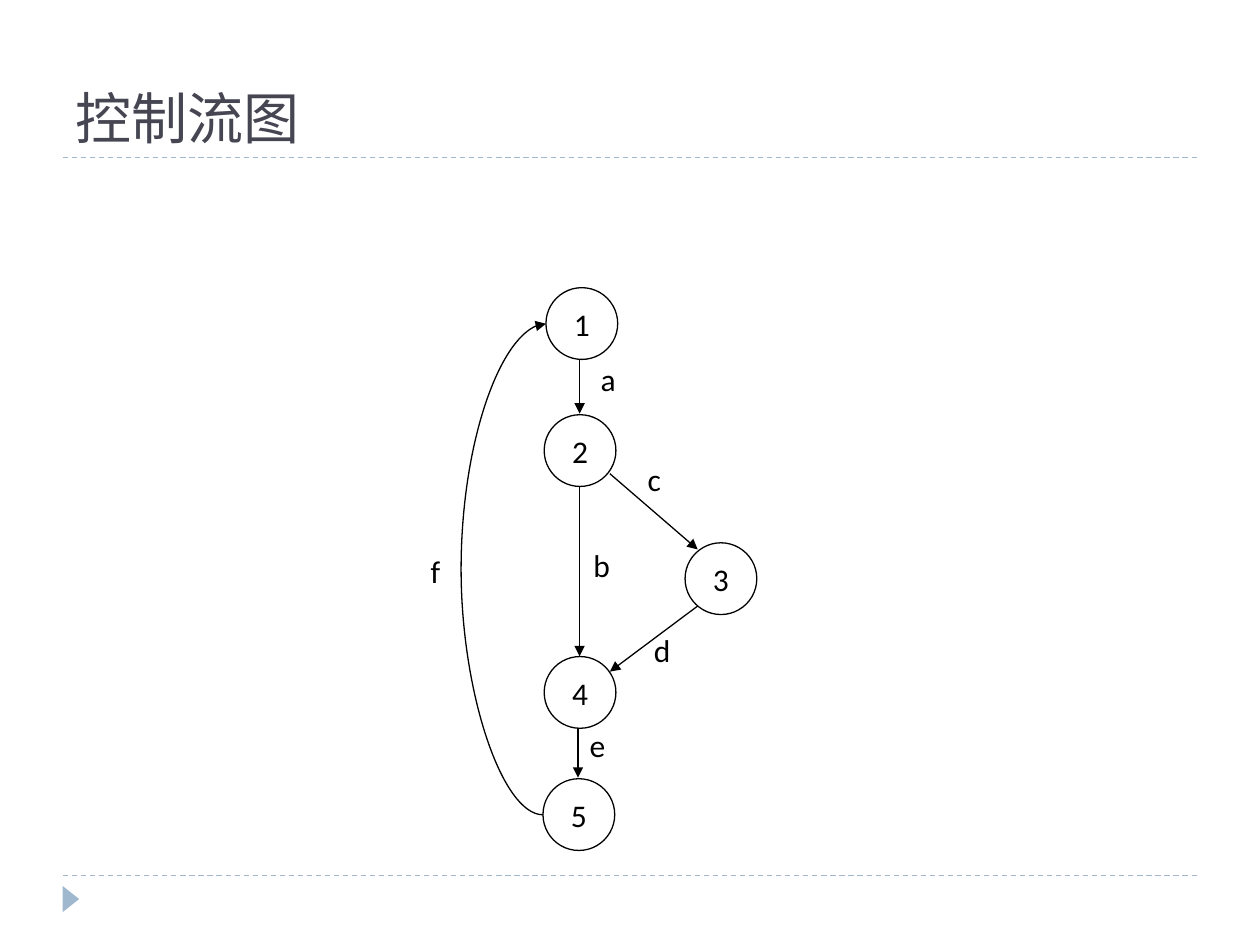
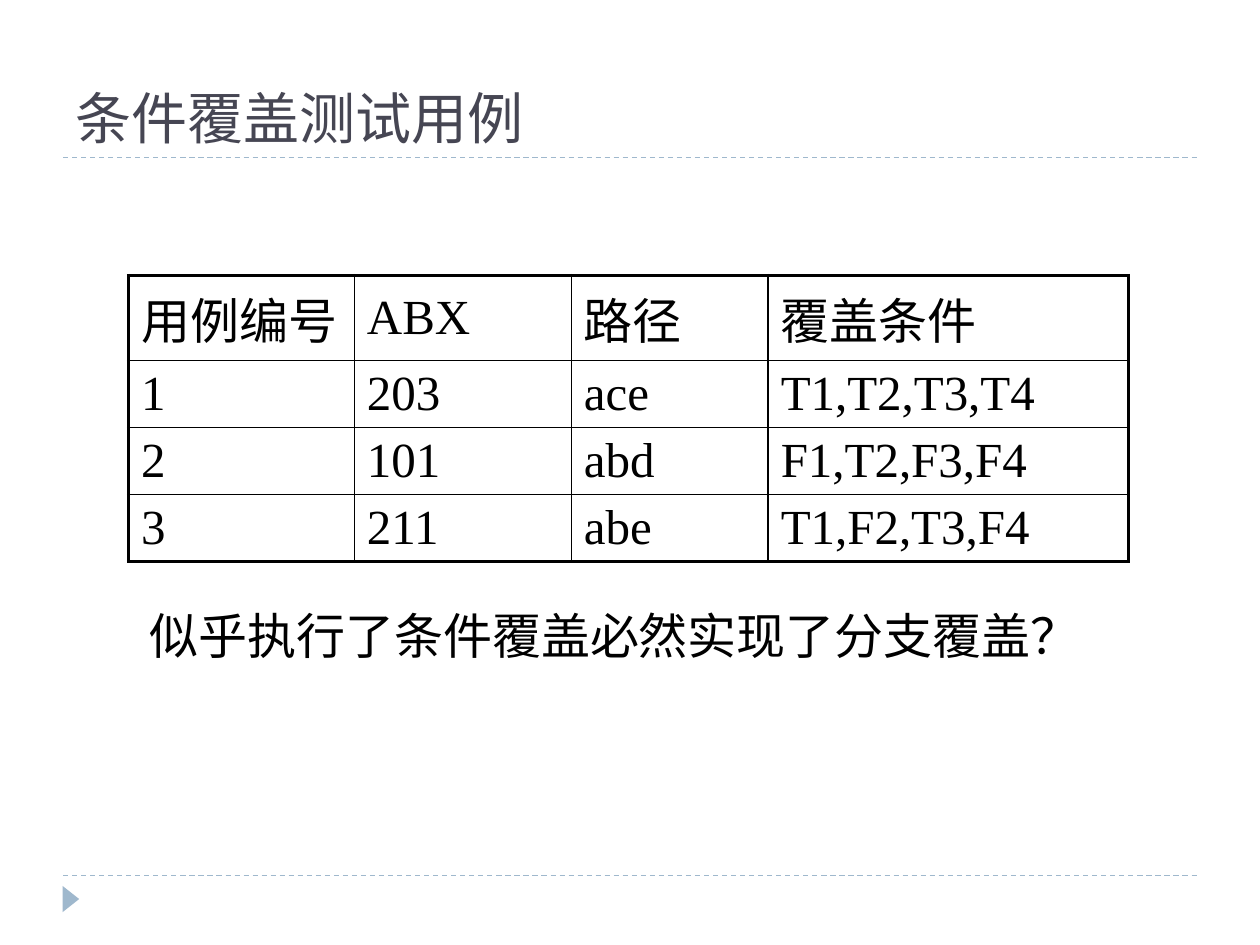
"""Build two slides on condition coverage: a control flow graph and its test cases."""

from typing import NamedTuple

from lxml.etree import SubElement
from pptx import Presentation
from pptx.dml.color import RGBColor
from pptx.enum.dml import MSO_LINE
from pptx.enum.shapes import MSO_CONNECTOR, MSO_SHAPE
from pptx.enum.text import MSO_ANCHOR, MSO_AUTO_SIZE, PP_ALIGN
from pptx.oxml.ns import qn
from pptx.util import Pt

COLORS = {"ink": "000000", "title": "464653", "accent": "9FB8CD"}
BODY_FONT = "Calibri"
TABLE_FONT = "Times New Roman"
CHINESE_FONT = "Noto Sans CJK SC"
NODE_SIZE = 41
LABEL_SIZE = (27.4, 36)
THIN, THICK = 1, 2.25
TABLE_LEFT, TABLE_TOP = 73.5, 157.5
COLUMN_WIDTHS = (129, 124, 112.5, 206)
HEADER_HEIGHT, ROW_HEIGHT = 48.5, 38.3


class Node(NamedTuple):
    """A numbered circle of the flow graph."""
    name: str
    left: float
    top: float


class Edge(NamedTuple):
    """A straight arrow between two nodes."""
    start: tuple[float, float]
    end: tuple[float, float]


class Label(NamedTuple):
    """The letter beside an edge."""
    text: str
    left: float
    top: float


NODES = (
    Node("1", 312, 164.4),
    Node("2", 311, 237),
    Node("4", 311, 375.2),
    Node("3", 391.5, 310.2),
    Node("5", 310.3, 445),
)
EDGES = (
    Edge((331.2, 205.8), (331.2, 236.4)),
    Edge((331.2, 278), (331.2, 375)),
    Edge((348.5, 270.7), (398.7, 314)),
    Edge((398.7, 346.3), (348.5, 383.8)),
    Edge((330.3, 416.2), (330.3, 444.4)),
)
RETURN_EDGE = Edge((310.3, 465.6), (312, 185))
RETURN_BEND = 263.5
LABELS = (
    Label("a", 336.2, 202.3),
    Label("b", 332, 308.2),
    Label("c", 363, 259.2),
    Label("d", 366.5, 357.1),
    Label("e", 329.8, 411.1),
    Label("f", 239, 311.8),
)
TEST_CASES = (
    ("用例编号", "ABX", "路径", "覆盖条件"),
    ("1", "203", "ace", "T1,T2,T3,T4"),
    ("2", "101", "abd", "F1,T2,F3,F4"),
    ("3", "211", "abe", "T1,F2,T3,F4"),
)


def color(name: str) -> RGBColor:
    """Return a named colour of the deck."""
    return RGBColor.from_string(COLORS[name])


def write_text(text_frame, text: str, *, size: float, font: str = BODY_FONT,
               ink: str = "ink", align=PP_ALIGN.LEFT) -> None:
    """Fill a text frame with one formatted paragraph."""
    paragraph = text_frame.paragraphs[0]
    paragraph.alignment = align
    paragraph.space_before = Pt(0)
    run = paragraph.add_run()
    run.text = text
    run.font.size = Pt(size)
    run.font.bold = False
    run.font.color.rgb = color(ink)
    run.font.name = font
    SubElement(run._r.get_or_add_rPr(), qn("a:ea"), typeface=CHINESE_FONT)


def add_line(slide, edge: Edge, *, ink: str = "ink", dashed: bool = False,
             arrow: bool = False, kind=MSO_CONNECTOR.STRAIGHT):
    """Draw a connector without shadow, dashed or with an arrowhead."""
    points = (Pt(value) for value in edge.start + edge.end)
    connector = slide.shapes.add_connector(kind, *points)
    connector.line.color.rgb = color(ink)
    connector.line.width = Pt(0.75)
    if dashed:
        connector.line.dash_style = MSO_LINE.DASH
    if arrow:
        SubElement(connector.line._get_or_add_ln(), qn("a:tailEnd"), type="triangle")
    SubElement(connector._element.spPr, qn("a:effectLst"))
    return connector


def add_return_edge(slide) -> None:
    """Draw the curved arrow that bends left from the last node to the first."""
    connector = add_line(slide, RETURN_EDGE, arrow=True, kind=MSO_CONNECTOR.CURVE)
    properties = connector._element.spPr
    frame = properties.find(qn("a:xfrm"))
    frame.attrib.pop("flipV", None)
    frame.set("rot", "10800000")
    frame.set("flipH", "1")
    start, end = RETURN_EDGE.start[0], RETURN_EDGE.end[0]
    bend = round((RETURN_BEND - start) / (end - start) * 100000)
    geometry = properties.find(qn("a:prstGeom"))
    SubElement(geometry.find(qn("a:avLst")), qn("a:gd"), name="adj1", fmla=f"val {bend}")


def add_text_box(slide, text: str, left: float, top: float, width: float,
                 height: float, *, size: float) -> None:
    """Add a wrapping text box that grows with its text."""
    box = slide.shapes.add_textbox(Pt(left), Pt(top), Pt(width), Pt(height))
    box.text_frame.word_wrap = True
    box.text_frame.auto_size = MSO_AUTO_SIZE.SHAPE_TO_FIT_TEXT
    write_text(box.text_frame, text, size=size, align=PP_ALIGN.JUSTIFY)


def add_slide(presentation, title: str, title_font: str):
    """Add a slide with the shared rules, corner marker and title."""
    slide = presentation.slides.add_slide(presentation.slide_layouts[5])
    for height in (500.4, 90):
        add_line(slide, Edge((36, height), (684, height)), ink="accent", dashed=True)
    marker = slide.shapes.add_shape(
        MSO_SHAPE.ISOSCELES_TRIANGLE, Pt(33), Pt(509), Pt(15), Pt(9.5))
    marker.rotation = 90
    marker.shadow.inherit = False
    marker.fill.solid()
    marker.fill.fore_color.rgb = color("accent")
    marker.line.fill.background()
    heading = slide.shapes.title
    heading.left, heading.top, heading.width, heading.height = Pt(36), Pt(12), Pt(648), Pt(78)
    heading.text_frame.vertical_anchor = MSO_ANCHOR.BOTTOM
    heading.text_frame.auto_size = MSO_AUTO_SIZE.NONE
    write_text(heading.text_frame, title, size=32, font=title_font, ink="title")
    return slide


def add_node(slide, node: Node) -> None:
    """Draw a numbered circle."""
    circle = slide.shapes.add_shape(
        MSO_SHAPE.OVAL, Pt(node.left), Pt(node.top), Pt(NODE_SIZE), Pt(NODE_SIZE))
    circle.shadow.inherit = False
    circle.fill.background()
    circle.line.color.rgb = color("ink")
    circle.line.width = Pt(0.75)
    circle.text_frame.word_wrap = False
    circle.text_frame.vertical_anchor = MSO_ANCHOR.MIDDLE
    write_text(circle.text_frame, node.name, size=18, align=PP_ALIGN.CENTER)


def set_borders(cell, widths: dict[str, float]) -> None:
    """Draw the borders of a cell in the given widths."""
    properties = cell._tc.get_or_add_tcPr()
    for side, width in widths.items():
        border = SubElement(properties, qn(f"a:ln{side}"), w=str(Pt(width)))
        fill = SubElement(border, qn("a:solidFill"))
        SubElement(fill, qn("a:srgbClr"), val=COLORS["ink"])


def add_case_table(slide) -> None:
    """Add the test case table with a thick outer frame."""
    last_row, last_column = len(TEST_CASES) - 1, len(COLUMN_WIDTHS) - 1
    table = slide.shapes.add_table(
        len(TEST_CASES), len(COLUMN_WIDTHS), Pt(TABLE_LEFT), Pt(TABLE_TOP),
        Pt(sum(COLUMN_WIDTHS)), Pt(HEADER_HEIGHT + last_row * ROW_HEIGHT)).table
    table.first_row = table.horz_banding = False
    for column, width in zip(table.columns, COLUMN_WIDTHS):
        column.width = Pt(width)
    for row_index, values in enumerate(TEST_CASES):
        table.rows[row_index].height = Pt(ROW_HEIGHT if row_index else HEADER_HEIGHT)
        for column_index, value in enumerate(values):
            cell = table.cell(row_index, column_index)
            outer = {"L": column_index == 0, "R": column_index == last_column,
                     "T": row_index == 0, "B": row_index == last_row}
            set_borders(cell, {side: THICK if edge else THIN for side, edge in outer.items()})
            cell.fill.background()
            cell.vertical_anchor = MSO_ANCHOR.MIDDLE
            write_text(cell.text_frame, value, size=28, font=TABLE_FONT)


def build_flow_graph(presentation) -> None:
    """Build the control flow graph slide."""
    slide = add_slide(presentation, "控制流图", "TeX Gyre Bonum")
    for node in NODES:
        add_node(slide, node)
    for edge in EDGES:
        add_line(slide, edge, arrow=True)
    add_return_edge(slide)
    for label in LABELS:
        add_text_box(slide, *label, *LABEL_SIZE, size=18)


def build_test_cases(presentation) -> None:
    """Build the condition coverage slide."""
    slide = add_slide(presentation, "条件覆盖测试用例", CHINESE_FONT)
    add_case_table(slide)
    add_text_box(slide, "似乎执行了条件覆盖必然实现了分支覆盖？",
                 78.5, 342.7, 556.5, 41, size=28)


def main() -> None:
    """Build and save the presentation."""
    presentation = Presentation()
    presentation.slide_width, presentation.slide_height = Pt(720), Pt(540)
    build_flow_graph(presentation)
    build_test_cases(presentation)
    presentation.save("out.pptx")


if __name__ == "__main__":
    main()
